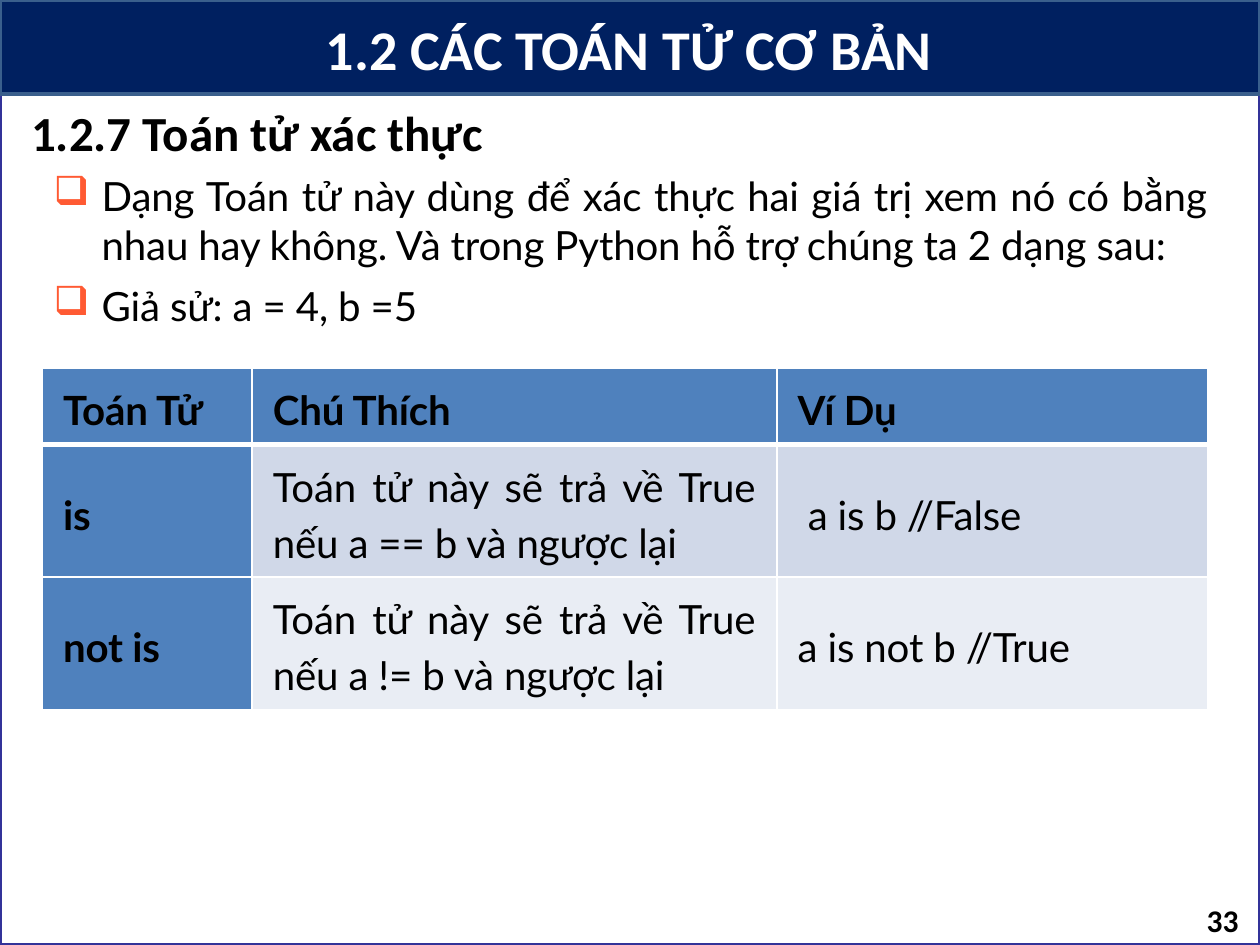
from lxml import etree
from pptx import Presentation
from pptx.dml.color import RGBColor
from pptx.enum.shapes import MSO_SHAPE
from pptx.enum.text import MSO_ANCHOR, MSO_AUTO_SIZE, PP_ALIGN
from pptx.oxml.ns import qn
from pptx.util import Cm, Pt

RECT = MSO_SHAPE.RECTANGLE
MID, TOP = MSO_ANCHOR.MIDDLE, MSO_ANCHOR.TOP
LEFT, RIGHT = PP_ALIGN.LEFT, PP_ALIGN.RIGHT
CENTER, JUST = PP_ALIGN.CENTER, PP_ALIGN.JUSTIFY
BLUE, PALE, LIGHT, WHITE = "4F81BD", "D0D8E8", "E9EDF4", "FFFFFF"


def rgb(code):
    return RGBColor.from_string(code)


def write(para, text, font="Lato", size=23, color="000000", bold=False,
          align=LEFT, before=0, line=None, track=0):
    para.alignment = align
    para.space_before = Pt(before)
    if line:
        para.line_spacing = line
    run = para.add_run()
    run.text = text
    face = run.font
    face.name, face.size, face.bold = font, Pt(size), bold
    face.color.rgb = rgb(color)
    if track:
        run._r.get_or_add_rPr().set("spc", str(track))


deck = Presentation()
deck.slide_width, deck.slide_height = Cm(25.4), Cm(19.05)
slide = deck.slides.add_slide(deck.slide_layouts[5])
shapes = slide.shapes

for high, fill, edge in [(19.05, WHITE, "333399"), (1.9, "002060", "3A5F8C")]:
    box = shapes.add_shape(RECT, 0, 0, Cm(25.4), Cm(high))
    box.shadow.inherit = False
    box.fill.solid()
    box.fill.fore_color.rgb = rgb(fill)
    box.line.color.rgb = rgb(edge)
    box.line.width = Pt(2)

title = shapes.title
shapes._spTree.append(title._element)
page, body, head = [shapes.add_textbox(0, 0, 0, 0) for _ in range(3)]
frames = [
    (title, 0.2, 0.25, 24.97, 1.4, MID, 0, 0.03),
    (page, 19.05, 18.03, 5.92, 1.02, MID, 0, 0.03),
    (body, 1.06, 3.18, 23.29, 3.5, TOP, 0, 0.28),
    (head, 0.38, 1.93, 9.78, 1.45, TOP, 0.25, 0.13),
]
for box, left, top, wide, high, anchor, side, pad in frames:
    box.left, box.top, box.width, box.height = Cm(left), Cm(top), Cm(wide), Cm(high)
    frame = box.text_frame
    frame.auto_size = MSO_AUTO_SIZE.NONE
    frame.word_wrap = box is not head
    frame.vertical_anchor = anchor
    frame.margin_left = frame.margin_right = Cm(side)
    frame.margin_top, frame.margin_bottom = Cm(pad), 0

write(title.text_frame.paragraphs[0], "1.2 CÁC TOÁN TỬ CƠ BẢN", font="Calibri",
      size=32, color=WHITE, bold=True, align=CENTER, before=1)
write(page.text_frame.paragraphs[0], "33", font="Calibri", size=18, bold=True,
      align=RIGHT, before=1)
write(head.text_frame.paragraphs[0], "1.2.7 Toán tử xác thực", font="Calibri",
      size=28, bold=True, before=7.8)

points = [
    "Dạng Toán tử này dùng để xác thực hai giá trị xem nó có bằng nhau hay không. "
    "Và trong Python hỗ trợ chúng ta 2 dạng sau:",
    "Giả sử: a = 4, b =5",
]
for i, text in enumerate(points):
    para = body.text_frame.add_paragraph() if i else body.text_frame.paragraphs[0]
    write(para, text, align=JUST, before=7.8, track=-10)
    props = para._p.get_or_add_pPr()
    props.set("marL", str(Cm(0.99)))
    props.set("indent", str(Cm(-0.97)))
    tint = etree.SubElement(props, qn("a:buClr"))
    etree.SubElement(tint, qn("a:srgbClr"), val="FF5A33")
    etree.SubElement(props, qn("a:buChar"), char="❑")

rows = [
    ("Toán Tử", "Chú Thích", "Ví Dụ"),
    ("is", "Toán tử này sẽ trả về True nếu a == b và ngược lại", " a is b //False"),
    ("not is", "Toán tử này sẽ trả về True nếu a != b và ngược lại", "a is not b //True"),
]
table = shapes.add_table(3, 3, Cm(0.85), Cm(7.42), Cm(23.5), Cm(6.86)).table
for col, wide in zip(table.columns, (4.23, 10.58, 8.69)):
    col.width = Cm(wide)
for row, high in zip(table.rows, (1.52, 2.67, 2.67)):
    row.height = Cm(high)

for r, row in enumerate(rows):
    for c, text in enumerate(row):
        cell = table.cell(r, c)
        label = r == 0 or c == 0
        cell.vertical_anchor = MID
        cell.margin_left = cell.margin_right = Cm(0.42)
        cell.margin_top = cell.margin_bottom = Cm(0.21)
        props = cell._tc.get_or_add_tcPr()
        for side in "LRTB":
            thick = (r, side) in [(0, "B"), (1, "T")]
            edge = etree.SubElement(props, qn("a:ln" + side), w=str(Pt(3 if thick else 1)))
            solid = etree.SubElement(edge, qn("a:solidFill"))
            etree.SubElement(solid, qn("a:srgbClr"), val=WHITE)
        cell.fill.solid()
        cell.fill.fore_color.rgb = rgb(BLUE if label else (PALE, LIGHT)[r - 1])
        write(cell.text_frame.paragraphs[0], text, bold=label,
              align=LEFT if label else JUST, line=1.15, track=-10)

deck.save("out.pptx")
